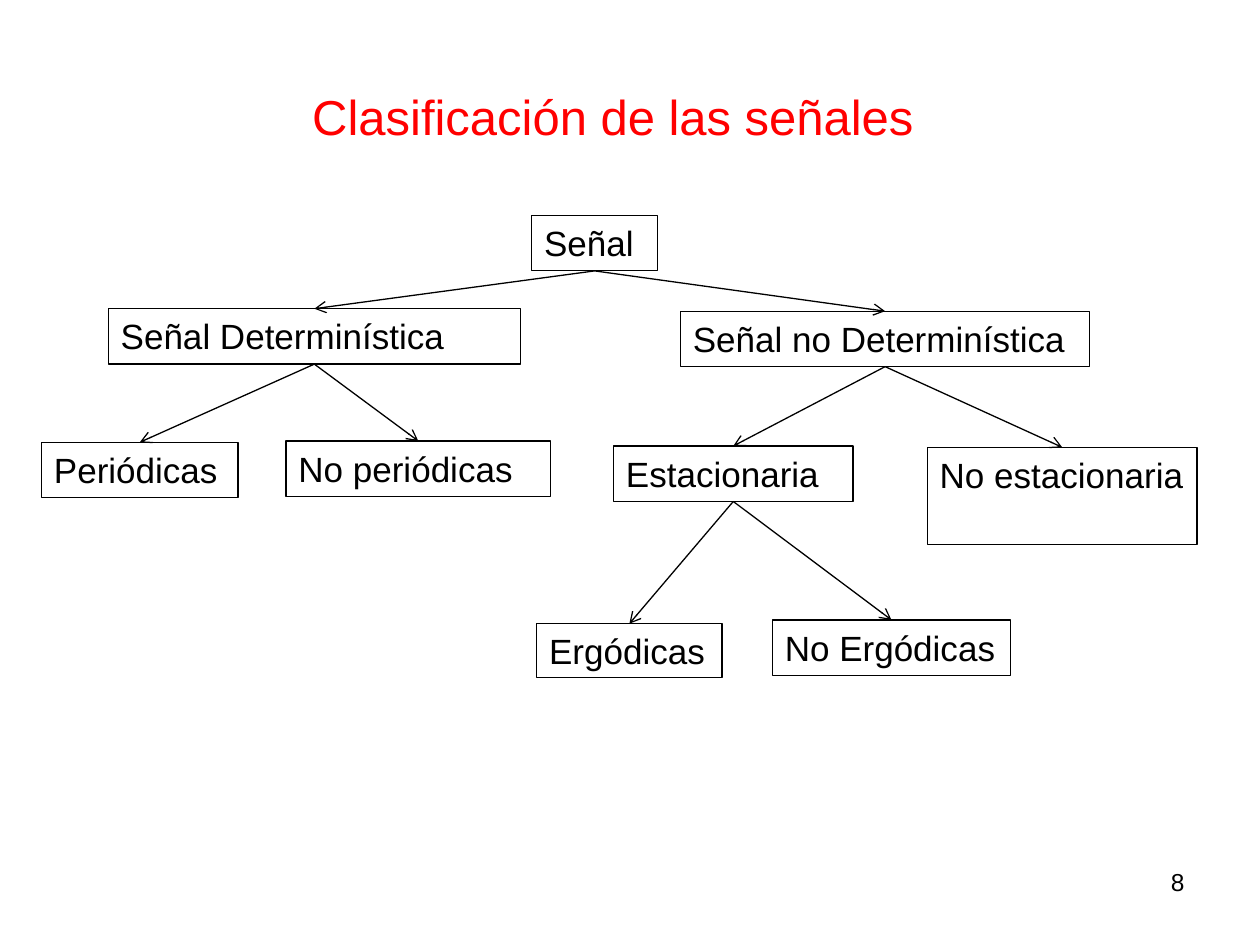
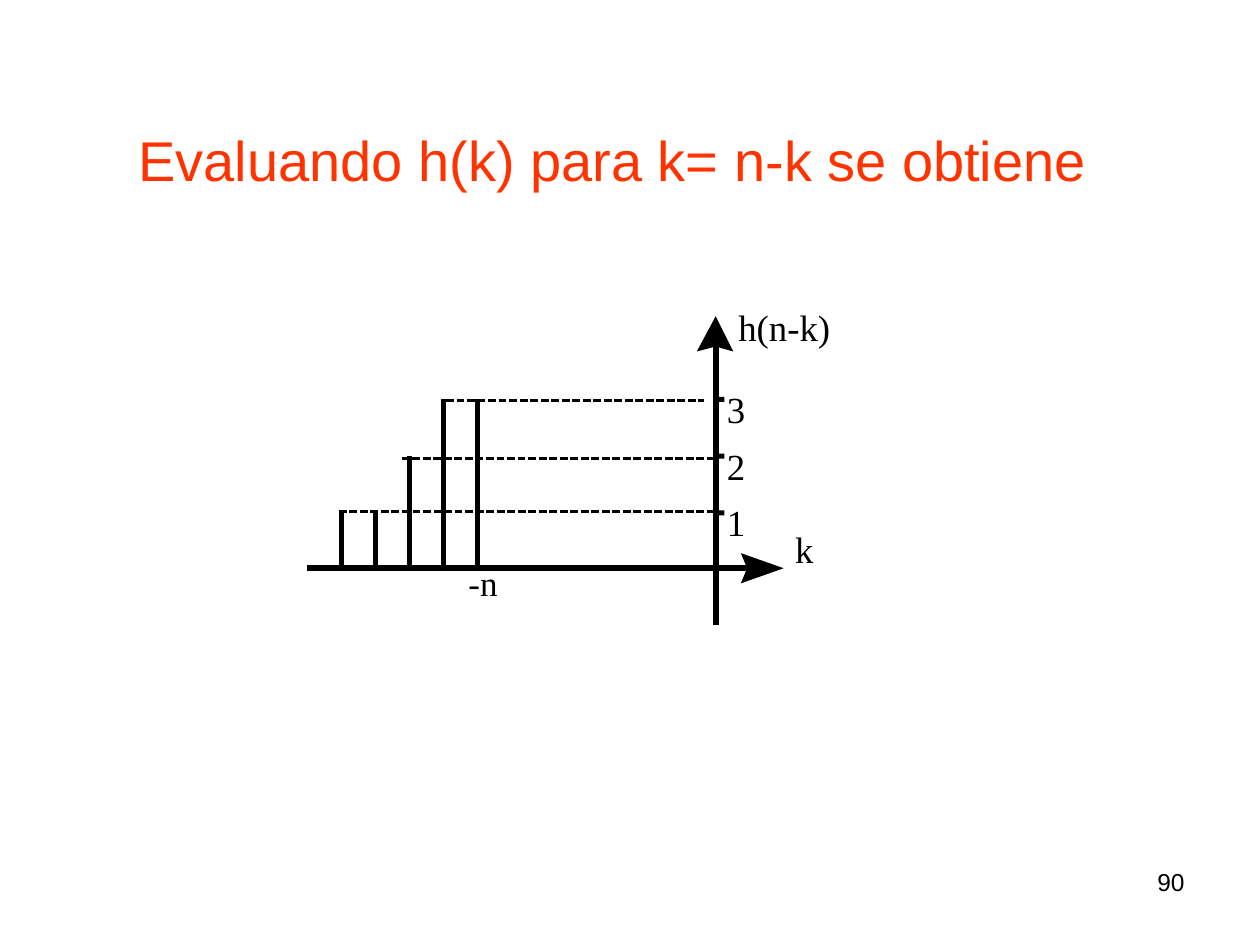
from lxml.etree import SubElement
from pptx import Presentation
from pptx.dml.color import RGBColor
from pptx.enum.dml import MSO_LINE_DASH_STYLE as Dash
from pptx.enum.shapes import MSO_CONNECTOR as Connector, MSO_SHAPE as Shape
from pptx.enum.text import PP_ALIGN as Align
from pptx.oxml.ns import qn
from pptx.util import Inches, Pt

COLORS = {"ink": "000000", "red": "FF0000", "orange": "FF3300"}
SANS, SERIF = "Arial", "Times New Roman"
BOTTOM, TOP = 2, 0

# name: (text, left, top, width, height)
TREE_BOXES = {
    "signal": ("Señal", 4.22, 1.71, 1, 0.44),
    "deterministic": ("Señal Determinística", 0.86, 2.45, 3.27, 0.44),
    "random": ("Señal no Determinística", 5.4, 2.47, 3.25, 0.44),
    "periodic": ("Periódicas", 0.33, 3.51, 1.56, 0.44),
    "aperiodic": ("No periódicas", 2.27, 3.5, 2.1, 0.44),
    "stationary": ("Estacionaria", 4.87, 3.54, 1.9, 0.44),
    "nonstationary": ("No estacionaria", 7.36, 3.55, 2.14, 0.77),
    "ergodic": ("Ergódicas", 4.26, 4.95, 1.47, 0.43),
    "nonergodic": ("No Ergódicas", 6.13, 4.92, 1.89, 0.44),
}
TREE_BRANCHES = {
    "signal": ("deterministic", "random"),
    "deterministic": ("periodic", "aperiodic"),
    "random": ("stationary", "nonstationary"),
    "stationary": ("ergodic", "nonergodic"),
}

STEM_VALUES = (1, 1, 2, 3, 3)
STEM_LEFT, STEM_GAP = 2.71, 0.27
BASE, UNIT = 4.52, 0.45
AXIS_X, AXIS_Y = 5.68, 4.51


def color(name):
    return RGBColor.from_string(COLORS[name])


def write(box, text, size, font=SANS, ink="ink", inset=None, wrap=True, **layout):
    """Fill a box with one paragraph; layout holds paragraph attributes."""
    frame = box.text_frame
    frame.word_wrap = wrap
    if inset is not None:
        for side in ("left", "top", "right", "bottom"):
            setattr(frame, f"margin_{side}", Inches(inset))
    para = frame.paragraphs[0]
    for name, value in ({"alignment": Align.LEFT} | layout).items():
        setattr(para, name, value)
    span = para.add_run()
    span.text = text
    for name, value in {"name": font, "size": Pt(size)}.items():
        setattr(span.font, name, value)
    span.font.color.rgb = color(ink)


def add_text(shapes, text, place, size, **style):
    box = shapes.add_textbox(*map(Inches, place))
    write(box, text, size, **style)


def add_tree_box(shapes, text, *place):
    box = shapes.add_shape(Shape.RECTANGLE, *map(Inches, place))
    box.shadow.inherit = False
    box.fill.background()
    box.line.color.rgb = color("ink")
    box.line.width = Pt(0.75)
    # Text starts at the top so that the tall box matches its neighbours.
    box.text_frame.vertical_anchor = 1
    write(box, text, 20)
    return box


def add_line(shapes, start, end, width, dash=None):
    line = shapes.add_connector(Connector.STRAIGHT, *map(Inches, (*start, *end)))
    line.line.color.rgb = color("ink")
    line.line.width = Pt(width)
    if dash:
        line.line.dash_style = dash
    SubElement(line._element.spPr, qn("a:effectLst"))
    return line


def add_branch(shapes, parent, child):
    line = add_line(shapes, (0, 0), (1, 1), 0.75)
    line.begin_connect(parent, BOTTOM)
    line.end_connect(child, TOP)
    SubElement(line.line._get_or_add_ln(), qn("a:tailEnd"), type="arrow")


def paint_solid(shape):
    shape.shadow.inherit = False
    shape.fill.solid()
    shape.fill.fore_color.rgb = color("ink")
    shape.line.fill.background()


def add_arrowhead(shapes, points):
    start, *rest = [tuple(map(Inches, point)) for point in points]
    builder = shapes.build_freeform(*start)
    builder.add_line_segments(rest, close=True)
    paint_solid(builder.convert_to_shape())


def add_page(deck, number):
    page = deck.slides.add_slide(deck.slide_layouts[6])
    add_text(page.shapes, number, (7.17, 6.83, 2.33, 0.52), 14, alignment=Align.RIGHT)
    return page


def add_classification(deck):
    shapes = add_page(deck, "8").shapes
    add_text(shapes, "Clasificación de las señales", (2.38, 0.64, 5.04, 0.57), 28,
             ink="red", wrap=False)
    boxes = {name: add_tree_box(shapes, *box) for name, box in TREE_BOXES.items()}
    for parent, children in TREE_BRANCHES.items():
        for child in children:
            add_branch(shapes, boxes[parent], boxes[child])


def level(value):
    """Height on the slide of a value on the vertical axis."""
    return BASE - UNIT * value


def add_stem_plot(shapes):
    add_line(shapes, (AXIS_X, 2.72), (AXIS_X, 4.96), 3.25)
    add_arrowhead(shapes, [(5.82, 2.79), (5.68, 2.75), (5.53, 2.79), (5.68, 2.51)])
    add_line(shapes, (2.44, AXIS_Y), (5.97, AXIS_Y), 3.25)
    add_arrowhead(shapes, [(5.88, 4.63), (5.93, 4.51), (5.88, 4.39), (6.22, 4.51)])

    for index, value in enumerate(STEM_VALUES):
        x = STEM_LEFT + STEM_GAP * index
        add_line(shapes, (x, level(value)), (x, BASE), 3.25)

    for value in (1, 2, 3):
        place = (5.7, level(value) - 0.02, 0.05, 0.04)
        paint_solid(shapes.add_shape(Shape.RECTANGLE, *map(Inches, place)))
        add_text(shapes, str(value), (5.77, level(value) - 0.1, 0.36, 0.42), 21,
                 font=SERIF, inset=0)

    for left, right, y in ((2.69, 5.7, 4.06), (3.19, 5.68, 3.64), (3.54, 5.59, 3.18)):
        add_line(shapes, (left, y), (right, y), 1.5, Dash.SQUARE_DOT)

    for text, place in (("h(n-k)", (5.86, 2.42, 1.09, 0.42)),
                        ("k", (6.31, 4.18, 0.35, 0.42))):
        add_text(shapes, text, place, 21, font=SERIF, inset=0)
    add_text(shapes, "-n", (3.62, 4.41, 0.44, 0.44), 20, font=SERIF, wrap=False)


def add_evaluation(deck):
    page = add_page(deck, "90")
    add_text(page.shapes, "Evaluando h(k) para k= n-k se obtiene",
             (1, 0.95, 8.5, 0.75), 32, ink="orange", space_before=Pt(6.4))
    add_stem_plot(page.shapes.add_group_shape().shapes)


def main():
    deck = Presentation()
    deck.slide_width, deck.slide_height = Inches(10), Inches(7.5)
    add_classification(deck)
    add_evaluation(deck)
    deck.save("out.pptx")


if __name__ == "__main__":
    main()
